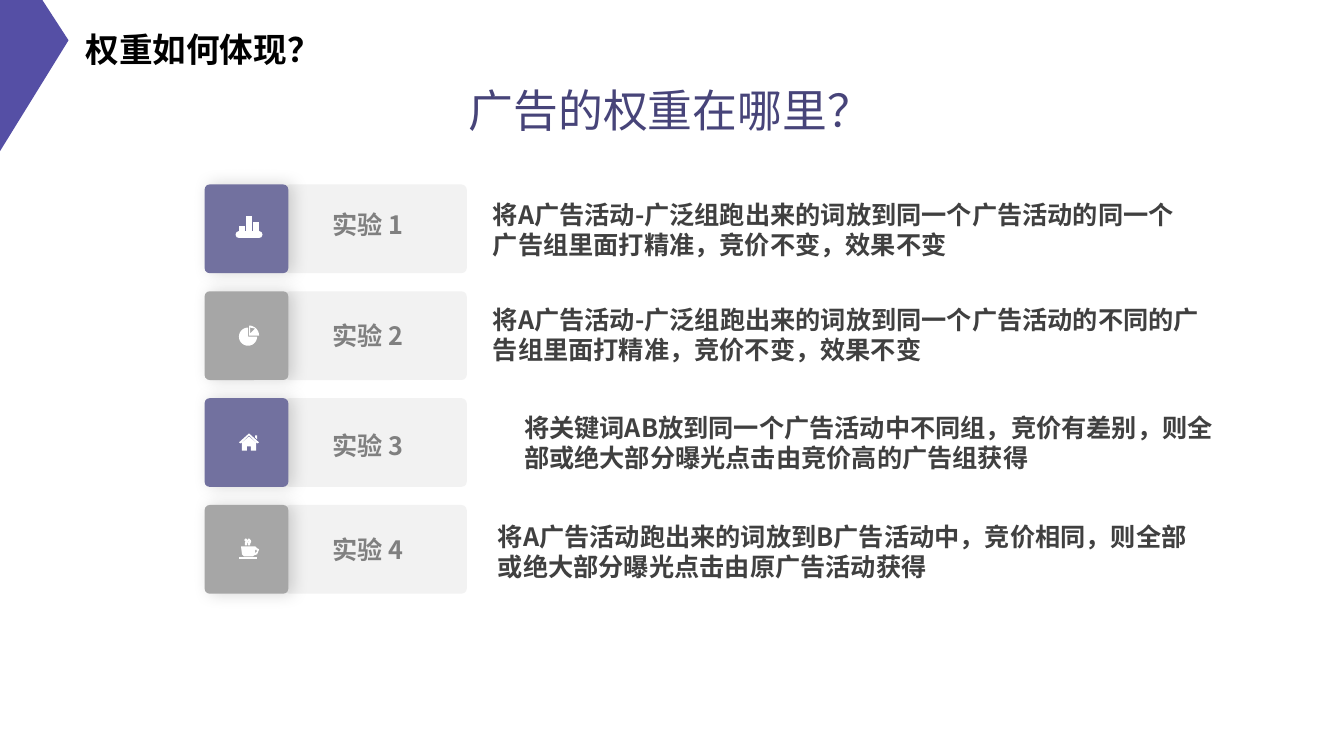
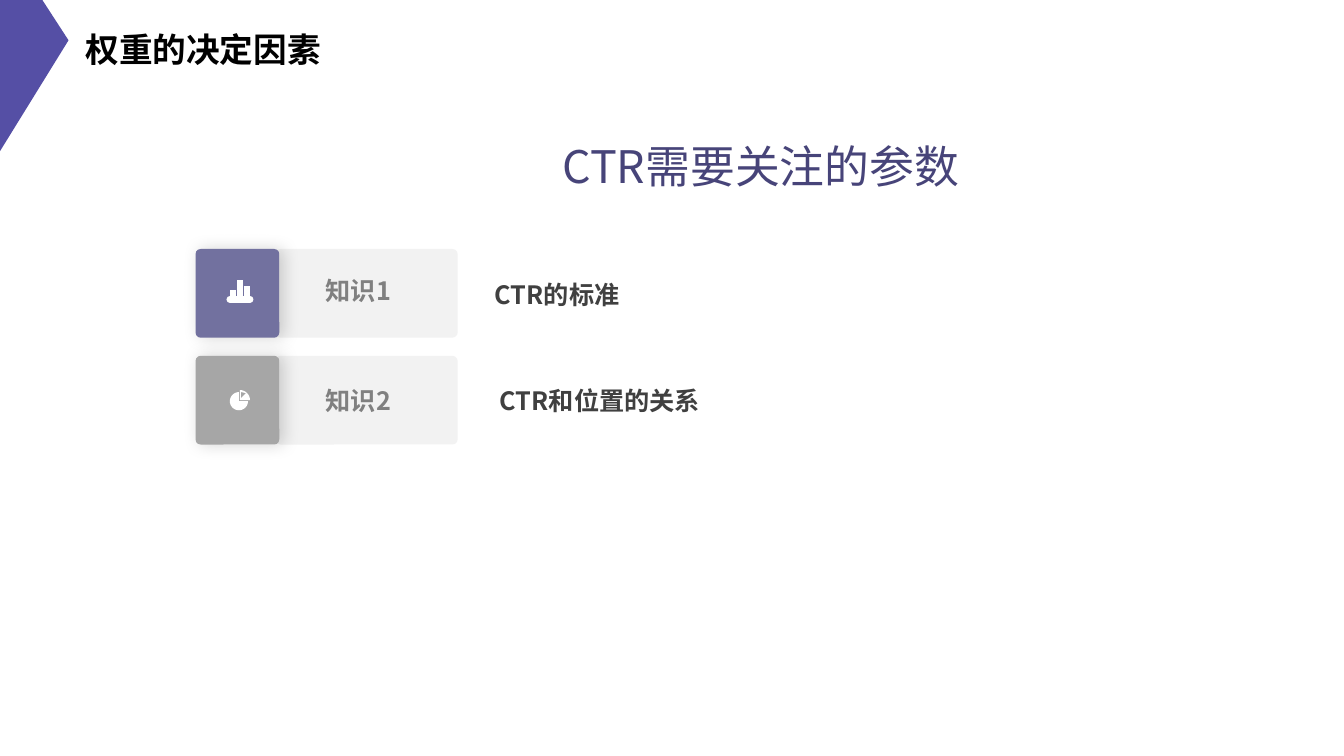
from math import cos, radians, sin

from lxml import etree
from pptx import Presentation
from pptx.dml.color import RGBColor
from pptx.enum.shapes import MSO_CONNECTOR, MSO_SHAPE
from pptx.enum.text import PP_ALIGN
from pptx.oxml.ns import qn
from pptx.util import Inches, Pt

STRAIGHT = MSO_CONNECTOR.STRAIGHT
ROUNDED = MSO_SHAPE.ROUNDED_RECTANGLE
LEFT, CENTER = PP_ALIGN.LEFT, PP_ALIGN.CENTER

FONT = "Noto Sans CJK SC"
BLACK = RGBColor(0x00, 0x00, 0x00)
WHITE = RGBColor(0xFF, 0xFF, 0xFF)
CORNER = RGBColor(0x55, 0x4F, 0xA5)
HEADLINE = RGBColor(0x47, 0x44, 0x79)
BODY = RGBColor(0x40, 0x40, 0x40)
LABEL = RGBColor(0x80, 0x80, 0x80)
CARD = RGBColor(0xF2, 0xF2, 0xF2)
TILE_COLORS = [RGBColor(0x72, 0x71, 0x9F), RGBColor(0xA6, 0xA6, 0xA6)]

ROW_PITCH, ROW_HEIGHT = 1.06, 0.88
TILE_WIDTH, CARD_OFFSET, CARD_WIDTH = 0.83, 0.79, 1.81
LABEL_OFFSET, LABEL_WIDTH = 0.89, 1.45
ICON_LEFT = 0.34

# Each row: icon, label, label top, description, description box (left, top, width)
SLIDES = [
    {
        "title": "权重如何体现？",
        "headline": ("广告的权重在哪里？", 4.55, 0.77, 4.4),
        "origin": (2.03, 1.83),
        "rows": [
            ("bars", "实验 1", 2.03,
             "将A广告活动-广泛组跑出来的词放到同一个广告活动的同一个广告组里面打精准，竞价不变，效果不变",
             (4.79, 1.93, 7.16)),
            ("pie", "实验 2", 3.13,
             "将A广告活动-广泛组跑出来的词放到同一个广告活动的不同的广告组里面打精准，竞价不变，效果不变",
             (4.79, 2.97, 7.21)),
            ("house", "实验 3", 4.22,
             "将关键词AB放到同一个广告活动中不同组，竞价有差别，则全部或绝大部分曝光点击由竞价高的广告组获得",
             (5.1, 4.04, 7.08)),
            ("cup", "实验 4", 5.25,
             "将A广告活动跑出来的词放到B广告活动中，竞价相同，则全部或绝大部分曝光点击由原广告活动获得",
             (4.84, 5.12, 7.15)),
        ],
    },
    {
        "title": "权重的决定因素",
        "headline": ("CTR需要关注的参数", 5.48, 1.33, 4.15),
        "origin": (1.94, 2.47),
        "rows": [
            ("bars", "知识1", 2.68, "CTR的标准", (4.81, 2.72, 7.21)),
            ("pie", "知识2", 3.77, "CTR和位置的关系", (4.86, 3.77, 7.16)),
        ],
    },
]


def box(left, top, width, height):
    right, bottom = left + width, top + height
    return [(left, top), (right, top), (right, bottom), (left, bottom)]


def sector(x, y, radius, start, end):
    """Outline of a pie sector; angles in degrees, clockwise from the right."""
    rim = [(x + radius * cos(radians(a)), y + radius * sin(radians(a)))
           for a in range(start, end + 1, 10)]
    return [(x, y)] + rim


# Each icon: top within its tile, filled parts (lists of contours), round strokes
STEAM = [(0.07, 0.06), (0.07, 0.04), (0.08, 0.02), (0.06, 0)]
ICONS = {
    "bars": (0.31, [
        [box(0, 0.1, 0.06, 0.07)],
        [box(0.07, 0, 0.06, 0.17)],
        [box(0.14, 0.06, 0.06, 0.11)],
    ], []),
    "pie": (0.35, [
        [sector(0.09, 0.1, 0.09, 0, 270)],
        [sector(0.1, 0.09, 0.1, 270, 360),
         [(0.11, 0.07), (0.11, 0.01), (0.16, 0.02)]],
    ], []),
    "house": (0.35, [
        [[(0.03, 0.17), (0.03, 0.09), (0.1, 0.03), (0.17, 0.09), (0.17, 0.17),
          (0.12, 0.17), (0.12, 0.13), (0.08, 0.13), (0.08, 0.17)]],
        [[(0, 0.09), (0.1, 0), (0.2, 0.09), (0.18, 0.1), (0.1, 0.02),
          (0.02, 0.1)]],
        [[(0.16, 0.02), (0.18, 0.02), (0.18, 0.06), (0.16, 0.04)]],
    ], []),
    "cup": (0.34, [
        [box(0, 0.18, 0.18, 0.02)],
        [[(0.02, 0.07), (0.16, 0.07), (0.18, 0.09), (0.2, 0.1), (0.18, 0.15),
          (0.15, 0.16), (0.14, 0.17), (0.05, 0.17), (0.03, 0.15)],
         [(0.16, 0.14), (0.16, 0.11), (0.17, 0.1), (0.18, 0.12)]],
    ], [STEAM, [(x + 0.03, y) for x, y in STEAM]]),
}


def add_outline(slide, left, top, contours, color, stroke=None):
    """Draw contours as a filled shape, or as open lines if stroke is given."""
    placed = [[(Inches(left + x), Inches(top + y)) for x, y in contour]
              for contour in contours]
    builder = slide.shapes.build_freeform(*placed[0][0], scale=1.0)
    for number, points in enumerate(placed):
        if number:
            builder.move_to(*points[0])
        builder.add_line_segments(points[1:], close=stroke is None)
    outline = builder.convert_to_shape()
    outline.shadow.inherit = False
    if stroke is None:
        outline.fill.solid()
        outline.fill.fore_color.rgb = color
        outline.line.fill.background()
    else:
        outline.fill.background()
        outline.line.color.rgb = color
        outline.line.width = Pt(stroke)


def add_panel(slide, left, top, width, color):
    panel = slide.shapes.add_shape(ROUNDED, Inches(left), Inches(top),
                                   Inches(width), Inches(ROW_HEIGHT))
    panel.adjustments[0] = 0.06
    panel.fill.solid()
    panel.fill.fore_color.rgb = color
    panel.line.fill.background()
    panel.shadow.inherit = False
    return panel


def add_soft_shadow(panel):
    effects = panel._element.spPr.find(qn("a:effectLst"))
    shadow = etree.SubElement(effects, qn("a:outerShdw"), blurRad=str(Pt(12)),
                              dist=str(Pt(3)), dir="0", algn="l",
                              rotWithShape="0")
    black = etree.SubElement(shadow, qn("a:srgbClr"), val=str(BLACK))
    etree.SubElement(black, qn("a:alpha"), val="17000")


def add_text(slide, text, left, top, width, height, size, color,
             bold=True, align=LEFT):
    frame = slide.shapes.add_textbox(Inches(left), Inches(top), Inches(width),
                                     Inches(height)).text_frame
    frame.word_wrap = True
    paragraph = frame.paragraphs[0]
    paragraph.text = text
    paragraph.alignment = align
    font = paragraph.font
    font.size = Pt(size)
    font.bold = bold
    font.color.rgb = color
    font.name = FONT
    defaults = paragraph._p.pPr.find(qn("a:defRPr"))
    etree.SubElement(defaults, qn("a:ea"), typeface=FONT)


def add_icon(slide, name, tile_left, tile_top):
    icon_top, parts, strokes = ICONS[name]
    left, top = tile_left + ICON_LEFT, tile_top + icon_top
    for contours in parts:
        add_outline(slide, left, top, contours, WHITE)
    for points in strokes:
        add_outline(slide, left, top, [points], WHITE, stroke=1.75)
    if name == "bars":
        add_baseline(slide, left, top + 0.19, 0.2)


def add_baseline(slide, left, top, width):
    baseline = slide.shapes.add_connector(
        STRAIGHT, Inches(left), Inches(top), Inches(left + width), Inches(top))
    baseline.line.color.rgb = WHITE
    baseline.line.width = Pt(4.88)
    baseline.line._get_or_add_ln().set("cap", "rnd")
    etree.SubElement(baseline._element.spPr, qn("a:effectLst"))


def add_frame(slide, title):
    """Add the corner mark and title that every slide carries."""
    add_outline(slide, 0, 0, [[(0, 0), (0.42, 0), (0.68, 0.4), (0, 1.5)]],
                CORNER)
    add_text(slide, title, 0.75, 0.24, 3.71, 0.5, 24, BLACK)


def add_row(slide, number, origin, row):
    icon, label, label_top, description, (text_left, text_top, text_width) = row
    left, top = origin[0], origin[1] + number * ROW_PITCH
    add_panel(slide, left + CARD_OFFSET, top, CARD_WIDTH, CARD)
    tile = add_panel(slide, left, top, TILE_WIDTH,
                     TILE_COLORS[number % len(TILE_COLORS)])
    add_soft_shadow(tile)
    add_icon(slide, icon, left, top)
    add_text(slide, label, left + LABEL_OFFSET, label_top, LABEL_WIDTH, 0.4,
             18, LABEL, align=CENTER)
    add_text(slide, description, text_left, text_top, text_width, 0.71,
             18, BODY)


def main():
    deck = Presentation()
    deck.slide_width, deck.slide_height = Inches(13.33), Inches(7.5)
    blank = deck.slide_layouts[6]
    for content in SLIDES:
        slide = deck.slides.add_slide(blank)
        add_frame(slide, content["title"])
        headline, left, top, width = content["headline"]
        add_text(slide, headline, left, top, width, 0.64, 32, HEADLINE,
                 bold=False)
        for number, row in enumerate(content["rows"]):
            add_row(slide, number, content["origin"], row)
    deck.save("out.pptx")


if __name__ == "__main__":
    main()
